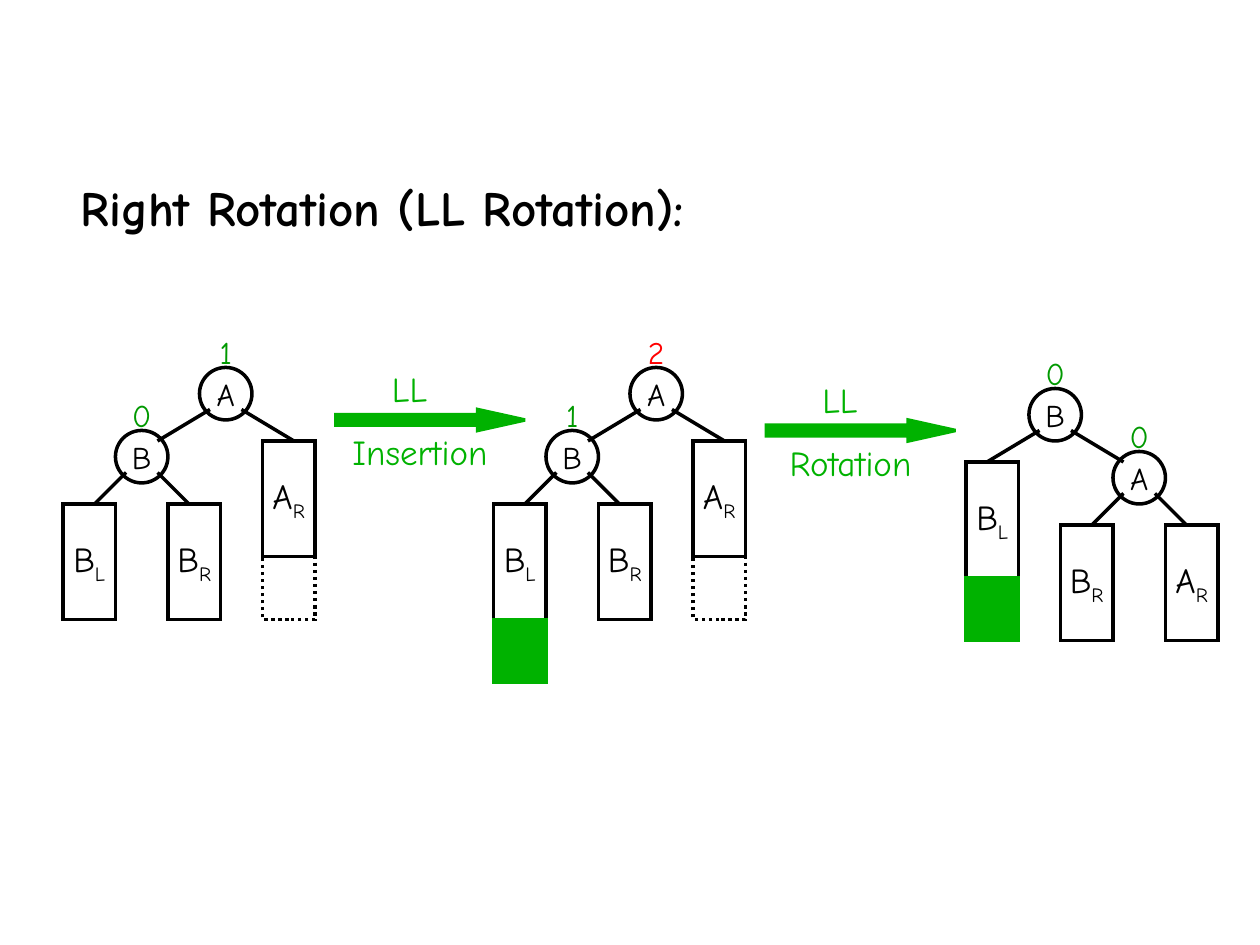
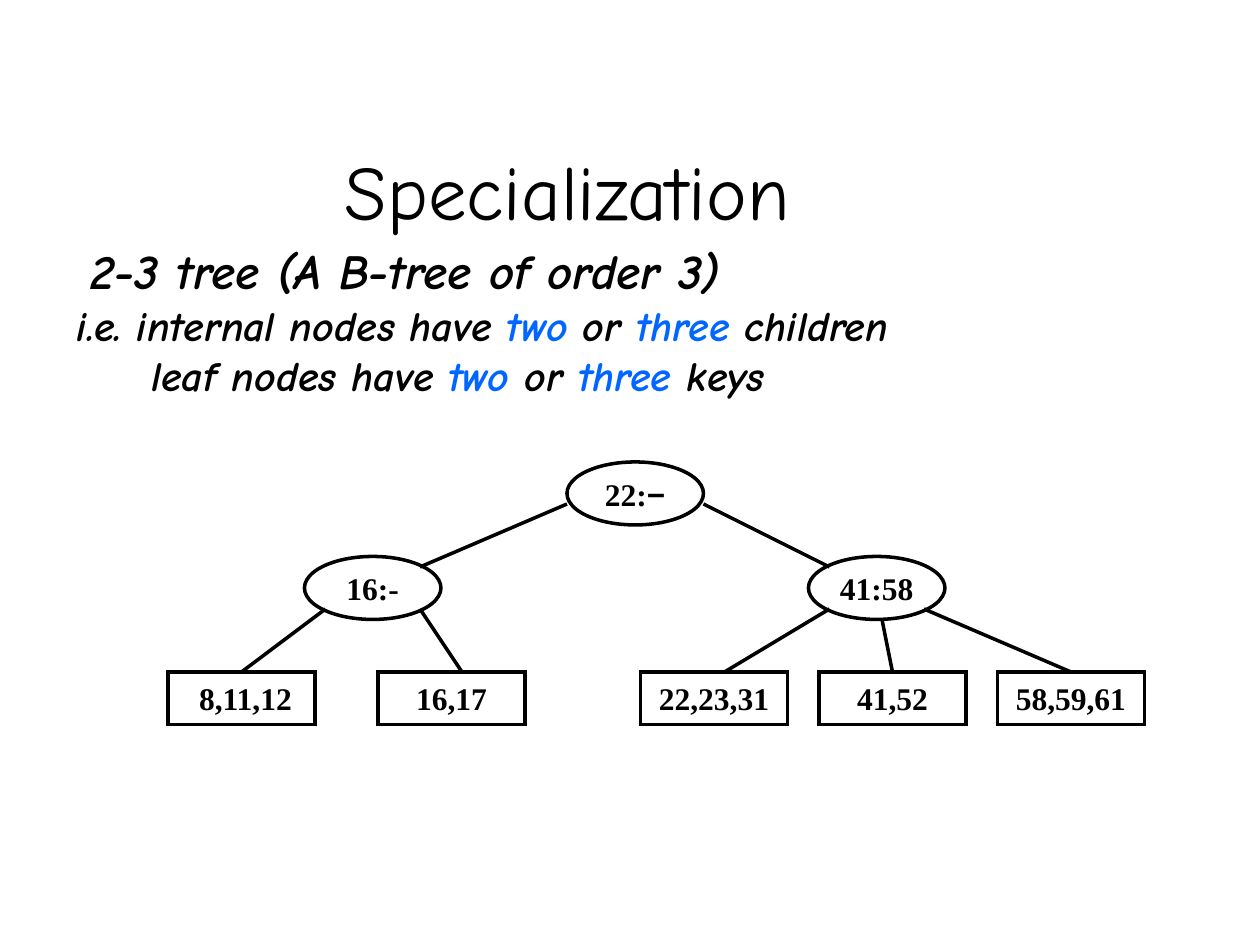
import pptx
import pptx.dml.color
import pptx.enum.dml
import pptx.enum.shapes
import pptx.enum.text
import pptx.oxml.ns
import pptx.util
import lxml.etree

GRID_CM = 2.54 / 12
BLACK, WHITE, RED, BLUE = "000000", "FFFFFF", "FF0000", "0066FF"
GREEN, BALANCE_GREEN = "00B200", "009900"
COMIC, TIMES, ARIAL = "Comic Neue", "Times New Roman", "Arial"
SHAPES = pptx.enum.shapes.MSO_SHAPE
CENTER = pptx.enum.text.PP_ALIGN.CENTER
MIDDLE = pptx.enum.text.MSO_ANCHOR.MIDDLE
BOTTOM = pptx.enum.text.MSO_ANCHOR.BOTTOM

NODE_TEXT = {"name": COMIC, "size": 18}
SUBTREE_TEXT = {"name": COMIC, "size": 20}
STEP_TEXT = {"name": COMIC, "size": 20, "color": GREEN}
KEY_TEXT = {"name": TIMES, "size": 18, "bold": True}
HEADING_TEXT = {"name": COMIC, "size": 28, "bold": True}
STATEMENT_TEXT = {"name": COMIC, "size": 24, "bold": True, "italic": True}


def grid(*units):
    return [pptx.util.Cm(unit * GRID_CM) for unit in units]


def centimetres(*lengths):
    return [pptx.util.Cm(length) for length in lengths]


def paint(color_format, color):
    color_format.rgb = pptx.dml.color.RGBColor.from_string(color)


def set_attributes(target, values):
    for name, value in values.items():
        setattr(target, name, value)


def add_run(paragraph, text, style, subscript=False):
    run = paragraph.add_run()
    run.text = text
    values = {"color": BLACK, **style}
    paint(run.font.color, values.pop("color"))
    values["size"] = pptx.util.Pt(values["size"])
    set_attributes(run.font, values)
    if subscript:
        run.font._element.set("baseline", "-25000")


def set_frame(shape, anchor=MIDDLE, wrap=False, side=0.0, left=None):
    left_margin, right_margin, edge = centimetres(side if left is None else left, side, 0.13)
    set_attributes(shape.text_frame, {
        "word_wrap": wrap,
        "vertical_anchor": anchor,
        "margin_left": left_margin,
        "margin_right": right_margin,
        "margin_top": edge,
        "margin_bottom": edge,
    })


def write(shape, text, style, subscript="", **frame):
    set_frame(shape, **frame)
    paragraph = shape.text_frame.paragraphs[0]
    paragraph.alignment = CENTER
    add_run(paragraph, text, style)
    if subscript:
        add_run(paragraph, subscript, style, subscript=True)
    return paragraph


def add_outline(shapes, kind, box, fill=None, line=BLACK, dash=None):
    shape = shapes.add_shape(kind, *grid(*box))
    shape.shadow.inherit = False
    if fill:
        shape.fill.solid()
        paint(shape.fill.fore_color, fill)
    else:
        shape.fill.background()
    paint(shape.line.color, line)
    shape.line.width = pptx.util.Pt(2)
    if dash:
        shape.line.dash_style = dash
    outline = shape._element.spPr.find(pptx.oxml.ns.qn("a:ln"))
    lxml.etree.SubElement(outline, pptx.oxml.ns.qn("a:miter"), lim="800000")
    return shape


def add_label(shapes, box, text, style):
    write(shapes.add_textbox(*grid(*box)), text, style)


def add_link(shapes, start, end):
    connector = shapes.add_connector(
        pptx.enum.shapes.MSO_CONNECTOR.STRAIGHT, *grid(*start, *end))
    paint(connector.line.color, BLACK)
    connector.line.width = pptx.util.Pt(2)
    lxml.etree.SubElement(connector._element.spPr, pptx.oxml.ns.qn("a:effectLst"))


def add_rotation_tree(slide, origin, nodes, links, subtrees, gap=None, inserted=None):
    shapes = slide.shapes.add_group_shape().shapes
    left, top = origin
    for x, y, name, balance, color in nodes:
        node = add_outline(shapes, SHAPES.OVAL, (left + x, top + y, 5, 5))
        write(node, name, NODE_TEXT)
        add_label(shapes, (left + x, top + y - 3, 5, 3), balance,
                  {**NODE_TEXT, "color": color})
    for start_x, start_y, end_x, end_y in links:
        add_link(shapes, (left + start_x, top + start_y), (left + end_x, top + end_y))
    for x, y, name, side in subtrees:
        subtree = add_outline(shapes, SHAPES.RECTANGLE, (left + x, top + y, 5, 11))
        write(subtree, name, SUBTREE_TEXT, side)
    if gap:
        add_outline(shapes, SHAPES.RECTANGLE, (left + gap[0], top + gap[1], 5, 6),
                    dash=pptx.enum.dml.MSO_LINE.ROUND_DOT)
    if inserted:
        add_outline(shapes, SHAPES.RECTANGLE,
                    (left + inserted[0], top + inserted[1], 5, 6), GREEN, GREEN)


def add_step_arrow(slide, left, top, action):
    shapes = slide.shapes.add_group_shape().shapes
    arrow = add_outline(shapes, SHAPES.RIGHT_ARROW, (left, top + 4, 18, 2), GREEN, GREEN)
    arrow.adjustments[1] = 2.25
    add_label(shapes, (left + 2, top, 10, 4), "LL", STEP_TEXT)
    add_label(shapes, (left, top + 6, 16, 4), action, STEP_TEXT)


def add_text_lines(slide, box, lines, side=0.0):
    text_box = slide.shapes.add_textbox(*centimetres(*box))
    set_frame(text_box, pptx.enum.text.MSO_ANCHOR.TOP, True, side)
    frame = text_box.text_frame
    for index, (indent, runs) in enumerate(lines):
        paragraph = frame.add_paragraph() if index else frame.paragraphs[0]
        properties = paragraph._p.get_or_add_pPr()
        properties.set("marL", str(pptx.util.Cm(indent)))
        properties.set("indent", "0")
        for text, style in runs:
            add_run(paragraph, text, style)


def build_rotation_slide(slide):
    links = [(14, 7, 9, 10), (17, 7, 22, 10), (9, 13, 12, 16), (6, 13, 3, 16)]
    subtrees = [(10, 16, "B", "R"), (0, 16, "B", "L"), (19, 10, "A", "R")]
    stages = [(6, "1", BALANCE_GREEN, "0", None), (47, "2", RED, "1", (0, 27))]
    for left, root_balance, root_color, child_balance, inserted in stages:
        nodes = [(13, 3, "A", root_balance, root_color),
                 (5, 9, "B", child_balance, BALANCE_GREEN)]
        add_rotation_tree(slide, (left, 32), nodes, links, subtrees, (19, 21), inserted)
    add_step_arrow(slide, 32, 35, "Insertion")
    add_step_arrow(slide, 73, 36, "Rotation")
    add_rotation_tree(
        slide, (92, 34),
        [(6, 3, "B", "0", BALANCE_GREEN), (14, 9, "A", "0", BALANCE_GREEN)],
        [(10, 7, 15, 10), (7, 7, 2, 10), (18, 13, 21, 16), (15, 13, 12, 16)],
        [(19, 16, "A", "R"), (0, 10, "B", "L"), (9, 16, "B", "R")],
        inserted=(0, 21))
    add_text_lines(slide, (1.63, 3.45, 15.72, 1.45),
                   [(0, [("Right Rotation (LL Rotation):", HEADING_TEXT)])])


def add_key_tree(slide):
    shapes = slide.shapes.add_group_shape().shapes
    leaves = [(16, "8,11,12", None, 0.41), (36, "16,17", WHITE, 0.25),
              (61, "22,23,31", None, 0.25), (78, "41,52", None, 0.25),
              (95, "58,59,61", None, 0.25)]
    for left, keys, fill, margin in leaves:
        leaf = add_outline(shapes, SHAPES.RECTANGLE, (left, 64, 14, 5), fill)
        write(leaf, keys, KEY_TEXT, side=0.25, left=margin)
    for left, top, keys, empty_key in [(54, 44, "22:", "−"), (29, 53, "16:-", ""),
                                       (77, 53, "41:58", "")]:
        node = add_outline(shapes, SHAPES.OVAL, (left, top, 13, 6))
        paragraph = write(node, keys, KEY_TEXT, side=0.25)
        if empty_key:
            add_run(paragraph, empty_key, {**KEY_TEXT, "name": ARIAL})
    for start, end in [((54, 48), (40, 54)), ((67, 48), (79, 54))]:
        add_link(shapes, start, end)
    for start, leaf_x in [((31, 58), 23), ((40, 58), 44), ((79, 58), 69),
                          ((84, 59), 85), ((88, 58), 102)]:
        add_link(shapes, start, (leaf_x, 64))


def build_specialization_slide(slide):
    title = slide.shapes.add_textbox(*centimetres(1.9, 0.43, 19.08, 4.45))
    write(title, "Specialization", {"name": COMIC, "size": 44},
          anchor=BOTTOM, wrap=True, side=0.25)
    highlight = {**STATEMENT_TEXT, "color": BLUE}
    lines = [(0.27, [("2-3 tree (A B-tree of order 3)", {**HEADING_TEXT, "italic": True})])]
    for indent, subject, unit in [(0, "i.e. internal nodes have ", " children"),
                                  (1.5, "leaf nodes have ", " keys")]:
        lines.append((indent, [(subject, STATEMENT_TEXT), ("two", highlight),
                               (" or ", STATEMENT_TEXT), ("three", highlight),
                               (unit, STATEMENT_TEXT)]))
    add_text_lines(slide, (1.3, 4.72, 21.79, 3.48), lines, side=0.25)
    add_key_tree(slide)


def main():
    presentation = pptx.Presentation()
    width, height = centimetres(25.4, 19.05)
    set_attributes(presentation, {"slide_width": width, "slide_height": height})
    blank_layout = presentation.slide_layouts[6]
    for build in (build_rotation_slide, build_specialization_slide):
        build(presentation.slides.add_slide(blank_layout))
    presentation.save("out.pptx")


if __name__ == "__main__":
    main()
